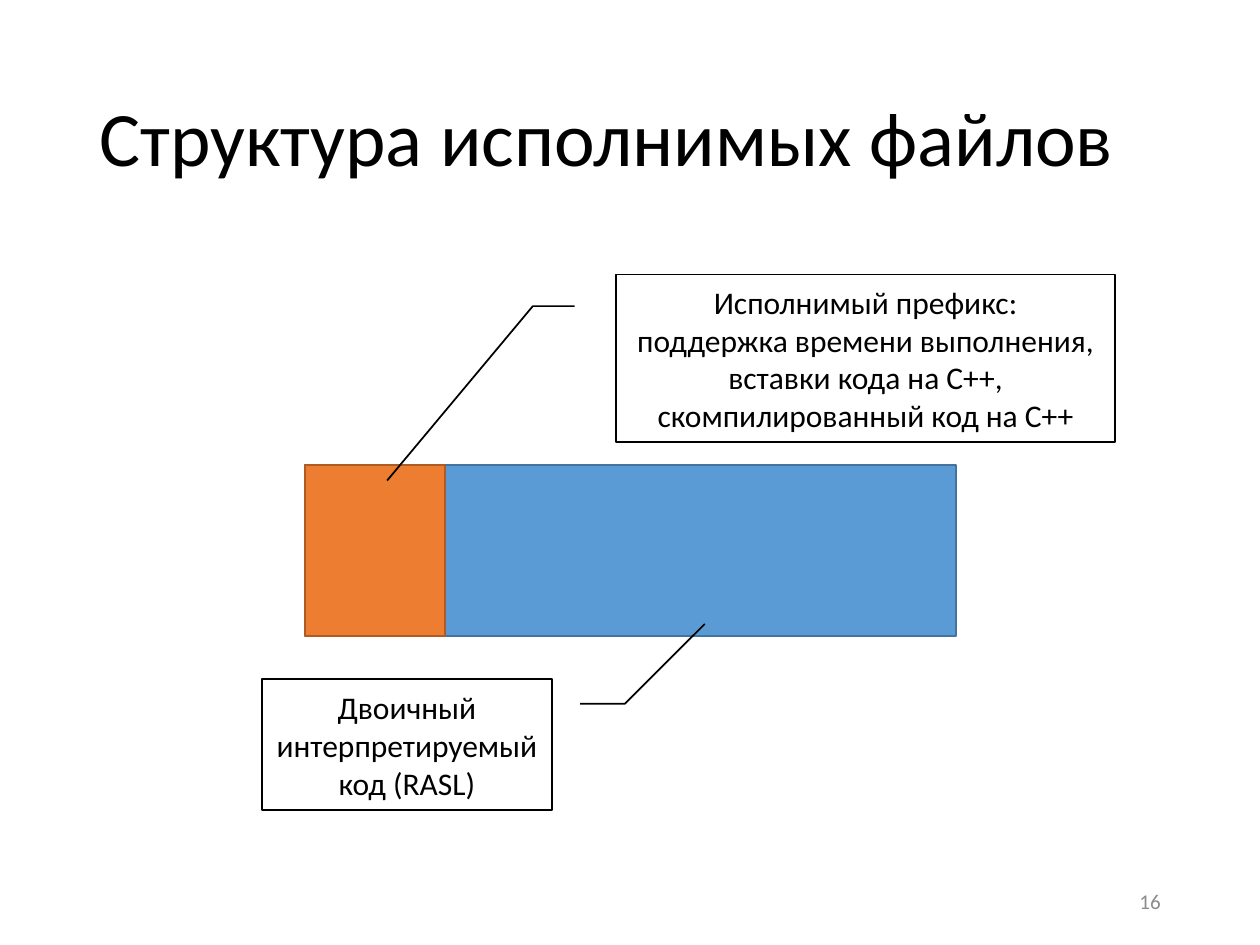
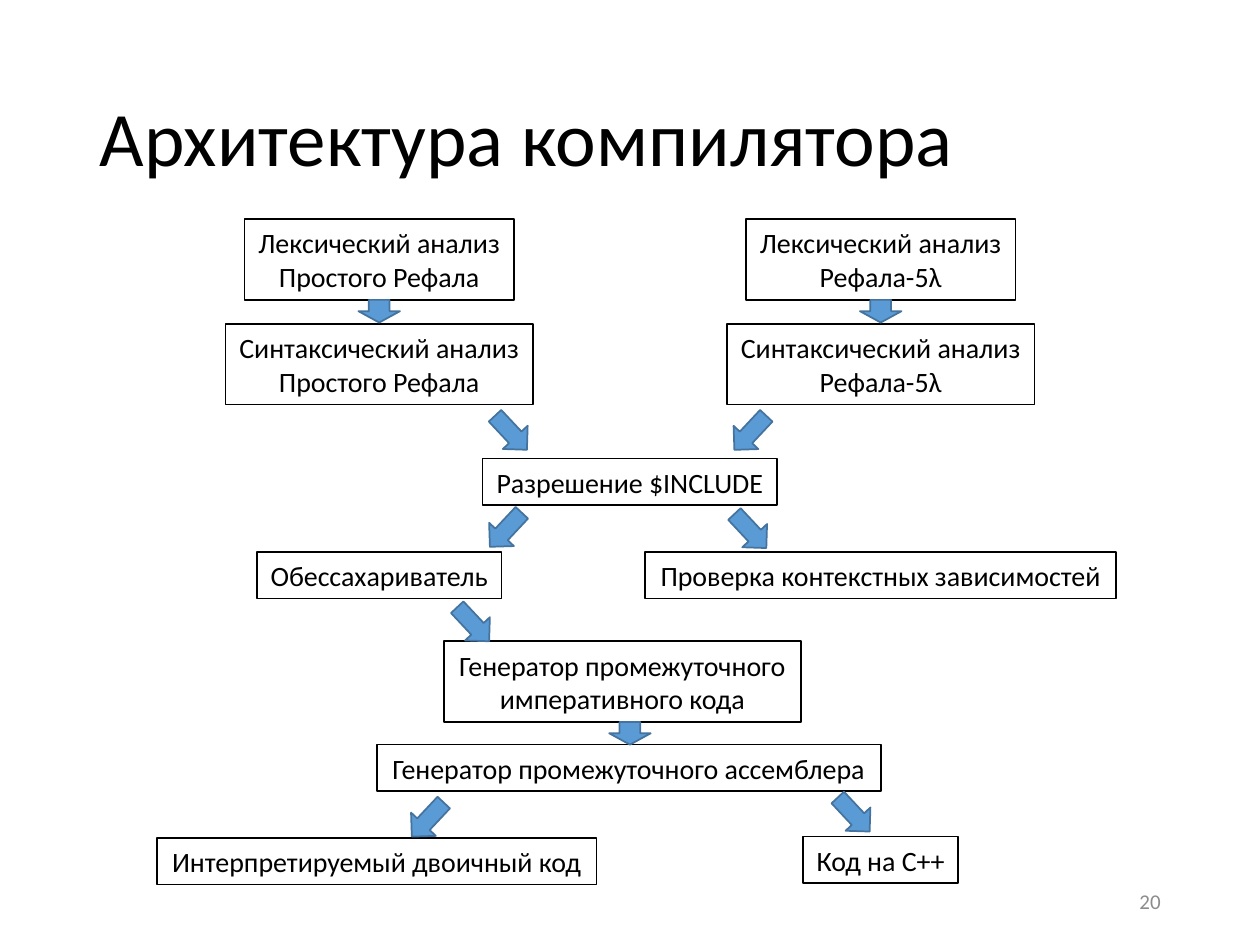
from pptx import Presentation
from pptx.util import Inches, Pt
from pptx.dml.color import RGBColor
from pptx.enum.shapes import MSO_SHAPE
from pptx.enum.text import MSO_ANCHOR, MSO_AUTO_SIZE, PP_ALIGN
from pptx.oxml.ns import qn

THEME = dict(
    font="Calibri", title=44, note=18, box=16, page=12,
    ink="000000", paper="FFFFFF", grey="8C8C8C",
    blue="5B9BD5", navy="43739E", orange="ED7D31", rust="AF5C24",
)

deck = Presentation()
deck.slide_width, deck.slide_height = Inches(10), Inches(7.5)
# Grid: 100 columns by 75 rows
COL, ROW = deck.slide_width / 100, deck.slide_height / 75


def write(shape, text, size, color="ink", align=PP_ALIGN.CENTER):
    """Fill a shape with text, one run for each line, and return its frame."""
    frame = shape.text_frame
    frame.vertical_anchor = MSO_ANCHOR.MIDDLE
    para = frame.paragraphs[0]
    para.alignment = align
    for i, line in enumerate(text.split("\n")):
        if i:
            para.add_line_break()
        run = para.add_run()
        run.text = line
        run.font.name = THEME["font"]
        run.font.size = Pt(THEME[size])
        run.font.color.rgb = RGBColor.from_string(THEME[color])
    return frame


def draw(slide, kind, mid, top, wide, high, fill="paper", line="ink"):
    """Add a flat shape centred on column mid, from row top down."""
    shape = slide.shapes.add_shape(
        kind, round((mid - wide / 2) * COL), round(top * ROW),
        round(wide * COL), round(high * ROW))
    shape.shadow.inherit = False
    shape.fill.solid()
    shape.fill.fore_color.rgb = RGBColor.from_string(THEME[fill])
    shape.line.color.rgb = RGBColor.from_string(THEME[line])
    shape.line.width = Pt(1)
    return shape


# Title and page number of both slides
slides = []
for title, page in (("Структура исполнимых файлов", "16"),
                    ("Архитектура компилятора", "20")):
    slide = deck.slides.add_slide(deck.slide_layouts[5])
    head = slide.shapes.title
    head.left, head.top = round(6.9 * COL), round(4 * ROW)
    head.width, head.height = round(86.2 * COL), round(14.5 * ROW)
    frame = write(head, title, "title", align=PP_ALIGN.LEFT)
    frame.auto_size = MSO_AUTO_SIZE.NONE
    frame.paragraphs[0].line_spacing = 0.9
    foot = slide.shapes.add_textbox(
        round(70.6 * COL), round(69.5 * ROW), round(22.5 * COL), round(4 * ROW))
    write(foot, page, "page", "grey", PP_ALIGN.RIGHT).word_wrap = True
    slides.append(slide)
files, tool = slides

# Executable file: whole body, then its prefix
for mid, wide, fill, line in ((50.05, 51.7, "blue", "navy"),
                              (29.75, 11.1, "orange", "rust")):
    draw(files, MSO_SHAPE.RECTANGLE, mid, 36.9, wide, 13.6, fill, line)

# Callouts: pointer bends are (y, x) shares of the box
notes = (
    (68.7, 21.8, 39.6, 13.3, (0.188, -0.083, 0.188, -0.167, 1.229, -0.459),
     "Исполнимый префикс:\nподдержка времени выполнения,\n"
     "вставки кода на\u00a0C++, скомпилированный код на\u00a0C++"),
    (32.3, 53.9, 23, 10.4, (0.188, 1.098, 0.188, 1.252, -0.421, 1.528),
     "Двоичный интерпретируемый код (RASL)"),
)
for mid, top, wide, high, bends, text in notes:
    note = draw(files, MSO_SHAPE.LINE_CALLOUT_2, mid, top, wide, high)
    for i, bend in enumerate(bends):
        note.adjustments[i] = bend
    write(note, text, "note").word_wrap = True

# Compiler stages: centre column, top row, width, text
LEFT, MID, RIGHT = 30.1, 50, 69.9
ONE, TWO = 3.7, 6.4  # box height for one and two lines
stages = []
for mid, name in ((LEFT, "Простого Рефала"), (RIGHT, "Рефала-5λ")):
    stages += [(mid, 17.4, 21.4, "Лексический анализ\n" + name),
               (mid, 25.7, 24.4, "Синтаксический анализ\n" + name)]
stages += [
    (MID, 36.4, 23.4, "Разрешение $INCLUDE"),
    (LEFT, 43.8, 19.4, "Обессахариватель"),
    (RIGHT, 43.8, 37.4, "Проверка контекстных зависимостей"),
    (49.4, 50.9, 28.3, "Генератор промежуточного\nимперативного кода"),
    (49.9, 59.1, 40, "Генератор промежуточного ассемблера"),
    (29.9, 66.5, 34.9, "Интерпретируемый двоичный код"),
    (RIGHT, 66.4, 12.3, "Код на\u00a0C++"),
]
for mid, top, wide, text in stages:
    high = TWO if "\n" in text else ONE
    box = draw(tool, MSO_SHAPE.RECTANGLE, mid, top, wide, high)
    frame = write(box, text, "box")
    frame.word_wrap = False
    frame.auto_size = MSO_AUTO_SIZE.SHAPE_TO_FIT_TEXT

# Straight arrows
for mid, top in ((LEFT, 23.8), (RIGHT, 23.8), (MID, 57.3)):
    draw(tool, MSO_SHAPE.DOWN_ARROW, mid, top, 3.3, 1.8, "blue", "navy")

# Slanted arrows: centre, top, and whether they lean to the left
TILT = 46.8
for mid, top, back in ((40.55, 33, False), (59.55, 33, True),
                       (59.55, 40.8, False), (40.15, 40.7, True),
                       (37.55, 48.2, False), (67.75, 63.3, False),
                       (33.95, 63.7, True)):
    arrow = draw(tool, MSO_SHAPE.RIGHT_ARROW, mid, top, 3.7, 2.7, "blue", "navy")
    arrow.rotation = 360 - TILT if back else TILT
    if back:
        arrow.element.spPr.find(qn("a:xfrm")).set("flipH", "1")

deck.save("out.pptx")
